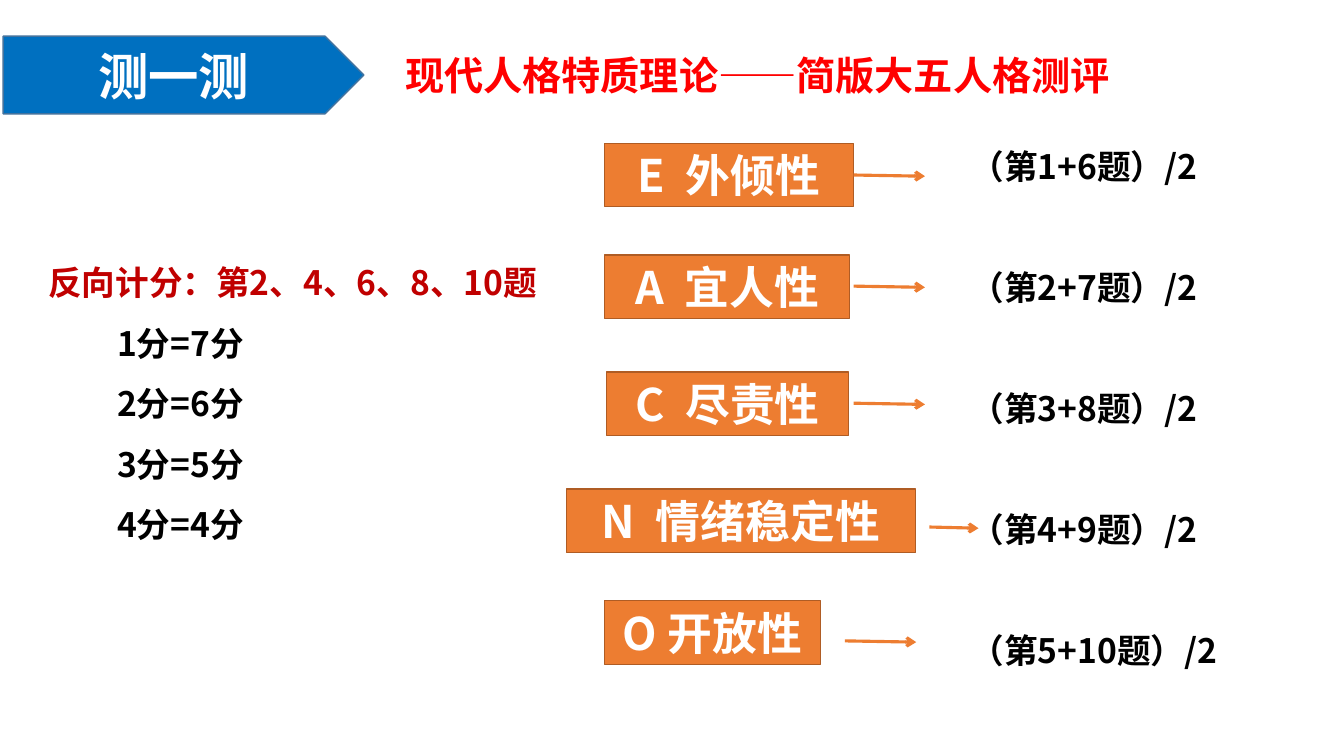
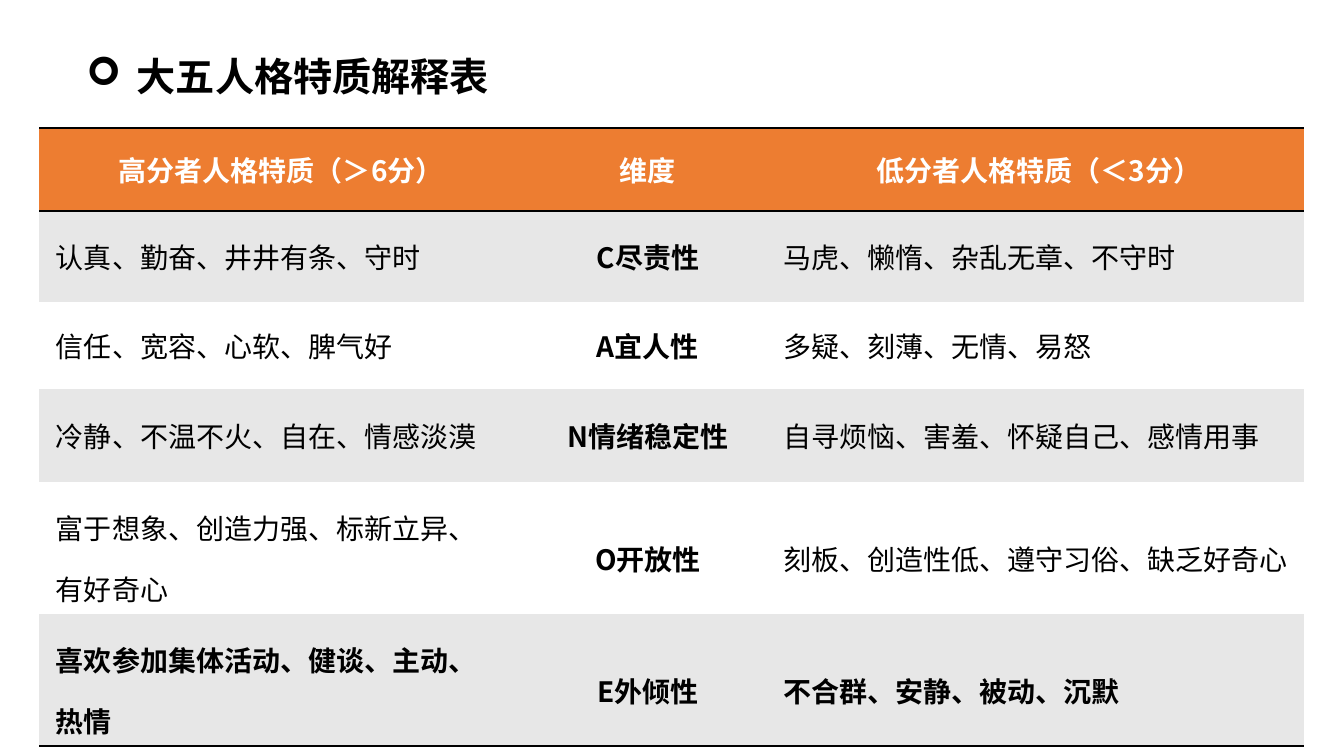
"""Build two slides on the short Big Five personality test."""
from lxml import etree
from pptx import Presentation
from pptx import util as u
from pptx.dml.color import RGBColor
from pptx.enum import shapes, text
from pptx.oxml import parse_xml
from pptx.oxml.ns import nsdecls, qn

COLORS = {
    "blue": "0070C0", "blue_edge": "43739E",
    "orange": "ED7D31", "orange_edge": "AF5C24",
    "red": "FF0000", "dark_red": "C00000",
    "white": "FFFFFF", "black": "000000", "band": "E7E7E7",
}
FONT = "Noto Sans CJK SC"
ALIGN = text.PP_ALIGN


def write(para, words, size, color, align=ALIGN.JUSTIFY, bold=True, spacing=None):
    span = para.add_run()
    span.text = words
    span.font.size = u.Pt(size)
    span.font.bold = bold
    span.font.name = FONT
    span.font.color.rgb = RGBColor.from_string(COLORS[color])
    etree.SubElement(span.font._element, qn("a:ea"), typeface=FONT)
    para.alignment = align
    if spacing:
        para.line_spacing = spacing


def add_box(page, place, kind=None, color=None):
    lengths = [u.Cm(value) for value in place]
    if kind is None:
        box = page.shapes.add_textbox(*lengths)
    else:
        box = page.shapes.add_shape(kind, *lengths)
        box.shadow.inherit = False
        box.fill.solid()
        box.fill.fore_color.rgb = RGBColor.from_string(COLORS[color])
        box.line.color.rgb = RGBColor.from_string(COLORS[color + "_edge"])
        box.line.width = u.Pt(1)
        box.text_frame.vertical_anchor = text.MSO_ANCHOR.MIDDLE
    box.text_frame.word_wrap = True
    return box


deck = Presentation()
deck.slide_width, deck.slide_height = u.Cm(33.87), u.Cm(19.05)
blank = deck.slide_layouts[6]

page = deck.slides.add_slide(blank)
banner = add_box(page, (0.08, 0.91, 9.09, 1.96), shapes.MSO_SHAPE.PENTAGON, "blue")
write(banner.text_frame.paragraphs[0], "测一测", 36, "white", ALIGN.CENTER)
title = add_box(page, (9.96, 0.58, 23.6, 3.63))
write(title.text_frame.paragraphs[0], "现代人格特质理论——简版大五人格测评", 28, "red", spacing=1.5)

traits = [
    ("E  外倾性", 15.24, 3.61, 6.27, 21.51, 4.41, 1.8),
    ("A  宜人性", 15.24, 6.43, 6.17, 21.51, 7.21, 1.8),
    ("C  尽责性", 15.29, 9.37, 6.1, 21.51, 10.16, 1.8),
    ("N  情绪稳定性", 14.27, 12.32, 8.81, 23.42, 13.28, 1.24),
    ("O 开放性", 15.24, 15.14, 5.44, 21.29, 16.15, 1.8),
]
for label, left, top, width, start, level, length in traits:
    box = add_box(page, (left, top, width, 1.6), shapes.MSO_SHAPE.RECTANGLE, "orange")
    write(box.text_frame.paragraphs[0], label, 32, "white", ALIGN.CENTER)
    arrow = page.shapes.add_connector(
        shapes.MSO_CONNECTOR.STRAIGHT,
        u.Cm(start), u.Cm(level), u.Cm(start + length), u.Cm(level + 0.03))
    if abs(left + width - start) < 0.01:
        arrow.begin_connect(box, 3)
    arrow.line.color.rgb = RGBColor.from_string(COLORS["orange"])
    arrow.line.width = u.Pt(2.25)
    etree.SubElement(arrow.line._get_or_add_ln(), qn("a:tailEnd"), type="arrow")
    etree.SubElement(arrow._element.spPr, qn("a:effectLst"))

reverse = add_box(page, (0.97, 5.97, 12.98, 7.95)).text_frame
write(reverse.paragraphs[0], "反向计分：第2、4、6、8、10题", 24, "dark_red", spacing=1.5)
for score in range(1, 5):
    para = reverse.add_paragraph()
    write(para, f"{score}分={8 - score}分", 24, "black", spacing=1.5)
    para._p.get_or_add_pPr().set("marL", str(u.Cm(1.73)))

formulas = add_box(page, (24.21, 3.05, 9.5, 14.1)).text_frame
for item in range(1, 6):
    para = formulas.paragraphs[0] if item == 1 else formulas.add_paragraph()
    write(para, f"（第{item}+{item + 5}题）/2", 24, "black", spacing=1.5)
    if item > 1:
        para.space_before = u.Pt(43.2)

page = deck.slides.add_slide(blank)
rows = [
    ("高分者人格特质（＞6分）", "维度", "低分者人格特质（＜3分）"),
    ("认真、勤奋、井井有条、守时", "C尽责性", "马虎、懒惰、杂乱无章、不守时"),
    ("信任、宽容、心软、脾气好", "A宜人性", "多疑、刻薄、无情、易怒"),
    ("冷静、不温不火、自在、情感淡漠", "N情绪稳定性", "自寻烦恼、害羞、怀疑自己、感情用事"),
    ("富于想象、创造力强、标新立异、\n有好奇心", "O开放性", "刻板、创造性低、遵守习俗、缺乏好奇心"),
    ("喜欢参加集体活动、健谈、主动、\n热情", "E外倾性", "不合群、安静、被动、沉默"),
]
heights = [2.08, 2.31, 2.18, 2.34, 2.18, 2.18]
widths = [12.19, 6.3, 13.39]
last = len(rows) - 1
table = page.shapes.add_table(
    len(rows), len(widths), u.Cm(0.99), u.Cm(3.23),
    u.Cm(sum(widths)), u.Cm(sum(heights))).table
table.first_row = table.horz_banding = False
table._tbl.tblPr.find(qn("a:tableStyleId")).text = "{2D5ABB26-0587-4C30-8999-92F81FD0307C}"
for column, width in zip(table.columns, widths):
    column.width = u.Cm(width)

for row, entries in enumerate(rows):
    table.rows[row].height = u.Cm(heights[row])
    edges = {0: ("lnT", "lnB"), last: ("lnB",)}.get(row, ())
    fill = "orange" if row == 0 else "band" if row % 2 else "white"
    for column, entry in enumerate(entries):
        cell = table.cell(row, column)
        cell.vertical_anchor = text.MSO_ANCHOR.MIDDLE
        if row and column == 0:
            cell.margin_left = u.Cm(0.42)
        for edge in edges:
            cell._tc.get_or_add_tcPr().append(parse_xml(
                f'<a:{edge} {nsdecls("a")} w="{u.Pt(2)}"><a:solidFill>'
                f'<a:srgbClr val="{COLORS["black"]}"/></a:solidFill></a:{edge}>'))
        cell.fill.solid()
        cell.fill.fore_color.rgb = RGBColor.from_string(COLORS[fill])
        centred = row == 0 or column == 1
        for index, line in enumerate(entry.split("\n")):
            frame = cell.text_frame
            para = frame.add_paragraph() if index else frame.paragraphs[0]
            write(para, line, 20, "black" if row else "white",
                  ALIGN.CENTER if centred else ALIGN.LEFT,
                  centred or row == last, 1.5 if row > 3 else None)

heading = add_box(page, (1.93, 1.19, 16.94, 1.45)).text_frame.paragraphs[0]
write(heading, "大五人格特质解释表", 28, "black", ALIGN.LEFT)
indent = u.Cm(1.27)
properties = heading._p.get_or_add_pPr()
properties.set("marL", str(indent))
properties.set("indent", str(-indent))
etree.SubElement(properties, qn("a:buFont"), typeface="Wingdings")
etree.SubElement(properties, qn("a:buChar"), char="➢")

deck.save("out.pptx")
